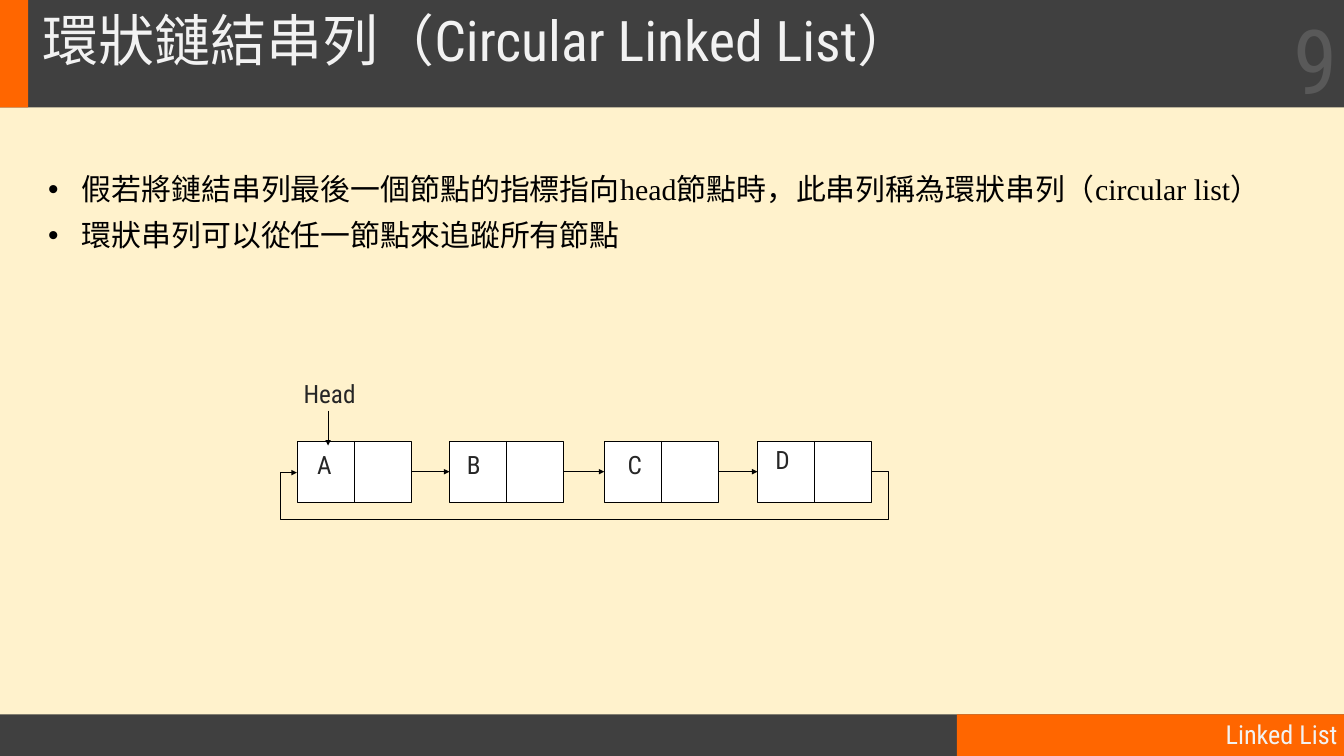
"""Build a slide that explains the circular linked list."""
import pptx
import pptx.dml.color
import pptx.enum.shapes
import pptx.enum.text
import pptx.oxml
import pptx.oxml.ns
import pptx.util

Pt = pptx.util.Pt
RGBColor = pptx.dml.color.RGBColor
MSO_SHAPE = pptx.enum.shapes.MSO_SHAPE
MSO_CONNECTOR = pptx.enum.shapes.MSO_CONNECTOR
MSO_ANCHOR = pptx.enum.text.MSO_ANCHOR
PP_ALIGN = pptx.enum.text.PP_ALIGN
NAMESPACE = pptx.oxml.ns.nsdecls("a")

COLORS = {
    "background": "FFF2CC", "bar": "404040", "accent": "FF6600",
    "light": "F2F2F2", "number": "595959", "label": "262626",
    "black": "000000", "white": "FFFFFF",
}
HEADING_FONT = "Roboto Condensed"
BODY_FONT = "Times New Roman"

presentation = pptx.Presentation()
presentation.slide_width = Pt(1440)
presentation.slide_height = Pt(810)
slide = presentation.slides.add_slide(presentation.slide_layouts[6])
slide.background.fill.solid()
slide.background.fill.fore_color.rgb = RGBColor.from_string(COLORS["background"])


def add_text(box, lines, size, color, font=HEADING_FONT,
             align=PP_ALIGN.LEFT, anchor=MSO_ANCHOR.TOP):
    shape = slide.shapes.add_textbox(*[Pt(length) for length in box])
    text_frame = shape.text_frame
    text_frame.word_wrap = True
    text_frame.vertical_anchor = anchor
    text_frame.text = "\n".join(lines)
    for paragraph in text_frame.paragraphs:
        paragraph.alignment = align
        for run in paragraph.runs:
            run.font.size = Pt(size)
            run.font.name = font
            run.font.color.rgb = RGBColor.from_string(COLORS[color])
    return text_frame.paragraphs


def add_line(start, end, arrow=True, kind=MSO_CONNECTOR.STRAIGHT):
    connector = slide.shapes.add_connector(
        kind, *[Pt(length) for length in (*start, *end)])
    connector.line.width = Pt(0.5)
    connector.line.color.rgb = RGBColor.from_string(COLORS["black"])
    if arrow:
        connector.line._get_or_add_ln().append(
            pptx.oxml.parse_xml(f'<a:tailEnd {NAMESPACE} type="triangle"/>'))
    connector._element.spPr.append(
        pptx.oxml.parse_xml(f"<a:effectLst {NAMESPACE}/>"))
    return connector


bars = [
    (0, 765.4, 1440, 44.6, "bar"),
    (1025.3, 765.4, 414.7, 44.6, "accent"),
    (0, 0, 1440, 115.2, "bar"),
    (0, 0, 30.2, 115.2, "accent"),
]
for *box, color in bars:
    bar = slide.shapes.add_shape(
        MSO_SHAPE.RECTANGLE, *[Pt(length) for length in box])
    bar.shadow.inherit = False
    bar.fill.solid()
    bar.fill.fore_color.rgb = RGBColor.from_string(COLORS[color])
    bar.line.fill.background()

title = add_text((38.2, 10, 1389.6, 60.5),
                 ["環狀鏈結串列（Circular Linked List）"], 60, "light")
title[0].line_spacing = 0.9
add_text((954, 765.4, 486, 43.2), ["Linked List"], 28, "light",
         align=PP_ALIGN.RIGHT, anchor=MSO_ANCHOR.MIDDLE)
add_text((1116, 0, 324, 126.7), ["9"], 96, "number",
         align=PP_ALIGN.RIGHT, anchor=MSO_ANCHOR.MIDDLE)

bullets = add_text((44.6, 183.6, 1345.7, 141.1), [
    "假若將鏈結串列最後一個節點的指標指向head節點時，此串列稱為環狀串列（circular list）",
    "環狀串列可以從任一節點來追蹤所有節點",
], 32, "black", BODY_FONT)
for paragraph in bullets:
    paragraph.line_spacing = 0.9
    paragraph.space_before = Pt(15)
    properties = paragraph._p.get_or_add_pPr()
    properties.set("marL", str(Pt(36)))
    properties.set("indent", str(-Pt(36)))
    properties.append(pptx.oxml.parse_xml(f'<a:buFont {NAMESPACE} typeface="Arial"/>'))
    properties.append(pptx.oxml.parse_xml(f'<a:buChar {NAMESPACE} char="•"/>'))

node_top, node_width, node_height = 472.5, 122.6, 65.8
node_middle = node_top + node_height / 2
node_bottom = node_top + node_height
nodes = [
    ("A", 318.2, 332.6, 477.4),
    ("B", 481.5, 493.2, 477.4),
    ("C", 647.5, 665.3, 477.4),
    ("D", 811.6, 823.7, 472.5),
]
node_shapes = []
for name, left, label_left, label_top in nodes:
    node = slide.shapes.add_shape(
        MSO_SHAPE.RECTANGLE, Pt(left), Pt(node_top), Pt(node_width), Pt(node_height))
    node.shadow.inherit = False
    node.fill.solid()
    node.fill.fore_color.rgb = RGBColor.from_string(COLORS["white"])
    node.line.width = Pt(1)
    node.line.color.rgb = RGBColor.from_string(COLORS["black"])
    node_shapes.append(node)
    center = left + node_width / 2
    divider = add_line((center, node_top), (center, node_bottom), arrow=False)
    divider.begin_connect(node, 0)
    divider.end_connect(node, 2)
    add_text((label_left, label_top, 38, 56.9), [name], 27, "label")

for source, target in zip(node_shapes, node_shapes[1:]):
    link = add_line((0, node_middle), (0, node_middle))
    link.begin_connect(source, 3)
    link.end_connect(target, 1)

add_text((318.2, 401.8, 79.2, 56.9), ["Head"], 27, "label")
add_line((351.5, 440), (351.5, 477.4))

first_left = nodes[0][1]
last_right = nodes[-1][1] + node_width
loop_drop, loop_overhang = 51, 18
loop = add_line((last_right, node_middle), (first_left, node_middle + 1),
                kind=MSO_CONNECTOR.ELBOW)
overhang = round(loop_overhang / (last_right - first_left) * 100000)
geometry = loop._element.spPr.prstGeom
geometry.set("prst", "bentConnector5")
guides = [-overhang, loop_drop * 100000, 100000 + overhang]
for number, value in enumerate(guides, start=1):
    geometry.get_or_add_avLst().append(pptx.oxml.parse_xml(
        f'<a:gd {NAMESPACE} name="adj{number}" fmla="val {value}"/>'))

presentation.save("out.pptx")
